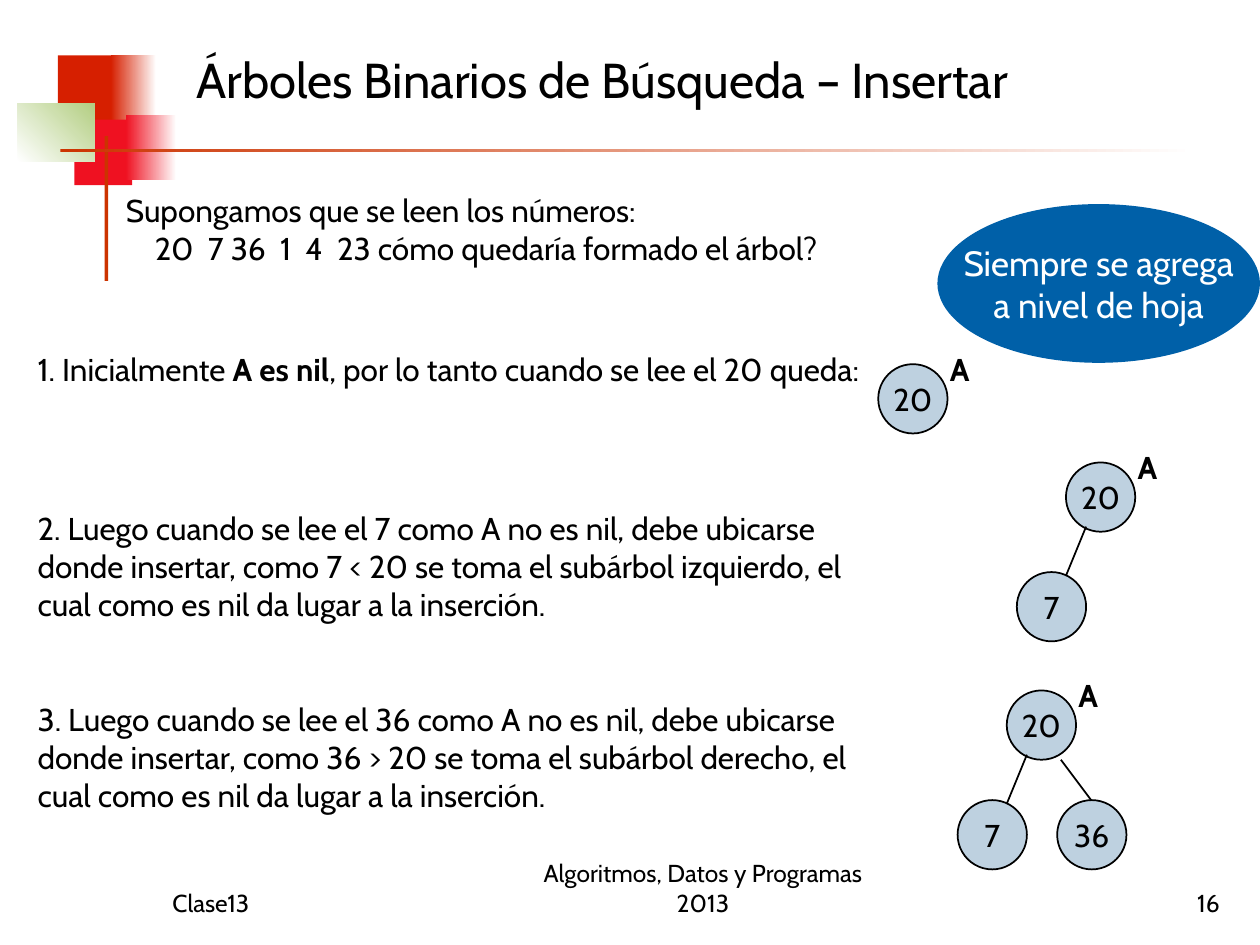
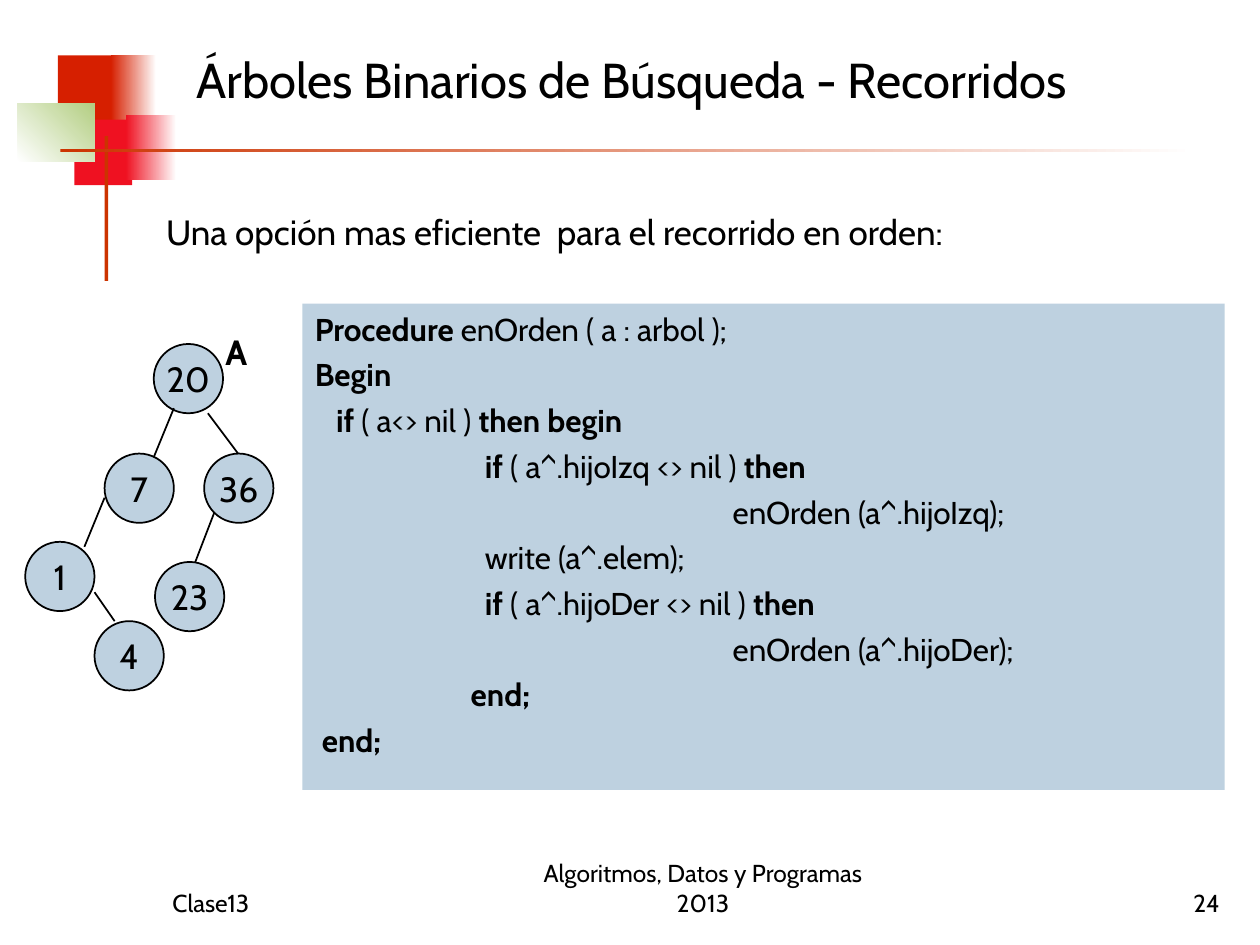
from lxml.etree import SubElement
from pptx import Presentation
from pptx.dml.color import RGBColor
from pptx.enum.shapes import MSO_CONNECTOR as Connector, MSO_SHAPE as Preset
from pptx.enum.text import MSO_ANCHOR as Anchor, PP_ALIGN as Align
from pptx.oxml.ns import qn
from pptx.util import Inches, Pt

FONT = "Cabin"
BLACK, WHITE = "000000", "FFFFFF"
PALE_BLUE, DEEP_BLUE = "BED1E0", "0060A8"
ORANGE, RED, GREEN, RULE_RED = "D61F00", "EF1121", "B3CE82", "CC3300"

BANDS = [
    ((0.46, 0.44, 0.48, 0.52), [ORANGE], 0),
    ((0.88, 0.44, 0.36, 0.52), [ORANGE, WHITE], 0),
    ((0.59, 0.95, 0.46, 0.52), [RED], 0),
    ((1, 0.91, 0.4, 0.52), [RED, WHITE], 0),
    ((0.14, 0.82, 0.61, 0.46), [WHITE, GREEN], 45),
    ((0.83, 1.08, 0.03, 1.15), [RULE_RED], 0),
    ((0.48, 1.18, 9, 0.03), [RULE_RED, WHITE], 0),
]

NODE_SIZE = 0.55
# Each branch: child offset, edge start and edge end, all from the parent's corner.
BRANCHES = {
    "left": ((-0.39, 0.87), (0.16, 0.51), (0, 0.9)),
    "right": ((0.4, 0.87), (0.43, 0.55), (0.67, 0.87)),
    "inner left": ((-0.39, 0.86), (0.08, 0.47), (-0.07, 0.86)),
    "outer left": ((-0.63, 0.7), (0, 0.35), (-0.16, 0.74)),
    "low right": ((0.55, 0.63), (0.55, 0.4), (0.71, 0.63)),
}

STEPS = [
    (2.73, 0.7, "1. Inicialmente **A es nil**, por lo tanto cuando se lee el 20 queda:"),
    (3.99, 1.3, "2. Luego cuando se lee el 7 como A no es nil, debe ubicarse donde insertar, "
                "como 7 < 20 se toma el subárbol izquierdo, el cual como es nil da lugar a la inserción."),
    (5.51, 1.3, "3. Luego cuando se lee el 36 como A no es nil, debe ubicarse donde insertar, "
                "como 36 > 20 se toma el subárbol derecho, el cual como es nil da lugar a la inserción."),
]

PROCEDURE = """\
**Procedure** enOrden ( a : arbol );
**Begin**
   **if** ( a<> nil ) **then begin**
                        **if** ( a^.hijoIzq <> nil ) **then**
                                                           enOrden (a^.hijoIzq);
                        write (a^.elem);
                        **if** ( a^.hijoDer <> nil ) **then**
                                                           enOrden (a^.hijoDer);
                      **end;**
 **end;**""".split("\n")


def rgb(value):
    return RGBColor.from_string(value)


def write(shape, lines, size, color=BLACK, align=Align.LEFT, anchor=Anchor.TOP, wrap=True, gap=0):
    frame = shape.text_frame
    frame.word_wrap = wrap
    frame.vertical_anchor = anchor
    for index, line in enumerate(lines):
        paragraph = frame.add_paragraph() if index else frame.paragraphs[0]
        paragraph.alignment = align
        if index and gap:
            paragraph.space_before = Pt(gap)
        for position, piece in enumerate(line.split("**")):
            if not piece:
                continue
            run = paragraph.add_run()
            run.text = piece
            run.font.name = FONT
            run.font.size = Pt(size)
            run.font.bold = position % 2 == 1
            run.font.color.rgb = rgb(color)
    return frame


def add_label(slide, box, lines, size, **style):
    return write(slide.shapes.add_textbox(*map(Inches, box)), lines, size, **style)


def add_block(slide, preset, box, colors, angle=0, outline=None):
    block = slide.shapes.add_shape(preset, *map(Inches, box))
    block.shadow.inherit = False
    if len(colors) == 1:
        block.fill.solid()
        block.fill.fore_color.rgb = rgb(colors[0])
    else:
        block.fill.gradient()
        block.fill.gradient_angle = angle
        for stop, color in zip(block.fill.gradient_stops, colors):
            stop.color.rgb = rgb(color)
    if outline:
        block.line.color.rgb = rgb(outline)
        block.line.width = Pt(1)
    else:
        block.line.fill.background()
    return block


def add_edge(slide, start, end):
    edge = slide.shapes.add_connector(Connector.STRAIGHT, *map(Inches, start + end))
    edge.line.color.rgb = rgb(BLACK)
    edge.line.width = Pt(1)
    SubElement(edge._element.spPr, qn("a:effectLst"))


def add_node(slide, x, y, node, size):
    value, children = node
    circle = add_block(slide, Preset.OVAL, (x, y, NODE_SIZE, NODE_SIZE), [PALE_BLUE], outline=BLACK)
    write(circle, [value], size, align=Align.CENTER, anchor=Anchor.MIDDLE, wrap=False)
    for branch, child in children.items():
        (dx, dy), start, end = BRANCHES[branch]
        add_node(slide, x + dx, y + dy, child, size)
        add_edge(slide, (x + start[0], y + start[1]), (x + end[0], y + end[1]))


def add_tree(slide, x, y, root, size=18):
    add_node(slide, x, y, root, size)
    add_label(slide, (x + 0.47, y - 0.16, 0.39, 0.4), ["**A**"], size)


def add_page(deck, title, number):
    slide = deck.slides.add_slide(deck.slide_layouts[6])
    for box, colors, angle in BANDS:
        add_block(slide, Preset.RECTANGLE, box, colors, angle)
    add_label(slide, (1.46, 0.13, 8.11, 1), [title], 28, anchor=Anchor.MIDDLE)
    footers = [
        (1.27, 2.08, "Clase13", Align.LEFT),
        (4, 3.16, "Algoritmos, Datos y Programas 2013", Align.CENTER),
        (7.7, 2.08, number, Align.RIGHT),
    ]
    for left, width, text, align in footers:
        add_label(slide, (left, 6.83, width, 0.5), [text], 14, align=align, anchor=Anchor.BOTTOM)
    return slide


def add_insertion(deck):
    slide = add_page(deck, "Árboles Binarios de Búsqueda – Insertar", "16")
    question = add_label(slide, (0.9, 1.47, 8.59, 0.7), [
        "Supongamos que se leen los números:",
        "20  7 36  1  4  23 cómo quedaría formado el árbol?",
    ], 18)
    question.paragraphs[1]._p.get_or_add_pPr().set("marL", str(Inches(0.23)))
    for top, height, step in STEPS:
        add_label(slide, (0.2, top, 6.93, height), [step], 18)

    seven, thirty_six = ("7", {}), ("36", {})
    add_tree(slide, 6.97, 2.89, ("20", {}))
    add_tree(slide, 8.46, 3.67, ("20", {"left": seven}))
    add_tree(slide, 7.99, 5.48, ("20", {"left": seven, "right": thirty_six}))

    reminder = add_block(slide, Preset.OVAL, (7.44, 1.62, 2.56, 1.26), [DEEP_BLUE])
    write(reminder, ["Siempre se agrega", "a nivel de hoja"], 20, color=WHITE,
          align=Align.CENTER, anchor=Anchor.MIDDLE, wrap=False)


def add_traversal(deck):
    slide = add_page(deck, "Árboles Binarios de Búsqueda - Recorridos", "24")
    add_label(slide, (1.22, 1.62, 7.64, 0.44),
              ["Una opción mas eficiente  para el recorrido en orden:"], 20)
    listing = add_block(slide, Preset.RECTANGLE, (2.4, 2.41, 7.32, 3.86), [PALE_BLUE])
    write(listing, PROCEDURE, 18, gap=4.5)

    one = ("1", {"low right": ("4", {})})
    seven = ("7", {"outer left": one})
    thirty_six = ("36", {"inner left": ("23", {})})
    add_tree(slide, 1.22, 2.73, ("20", {"left": seven, "right": thirty_six}), 20)


def main():
    deck = Presentation()
    deck.slide_width, deck.slide_height = Inches(10), Inches(7.5)
    add_insertion(deck)
    add_traversal(deck)
    deck.save("out.pptx")


if __name__ == "__main__":
    main()
